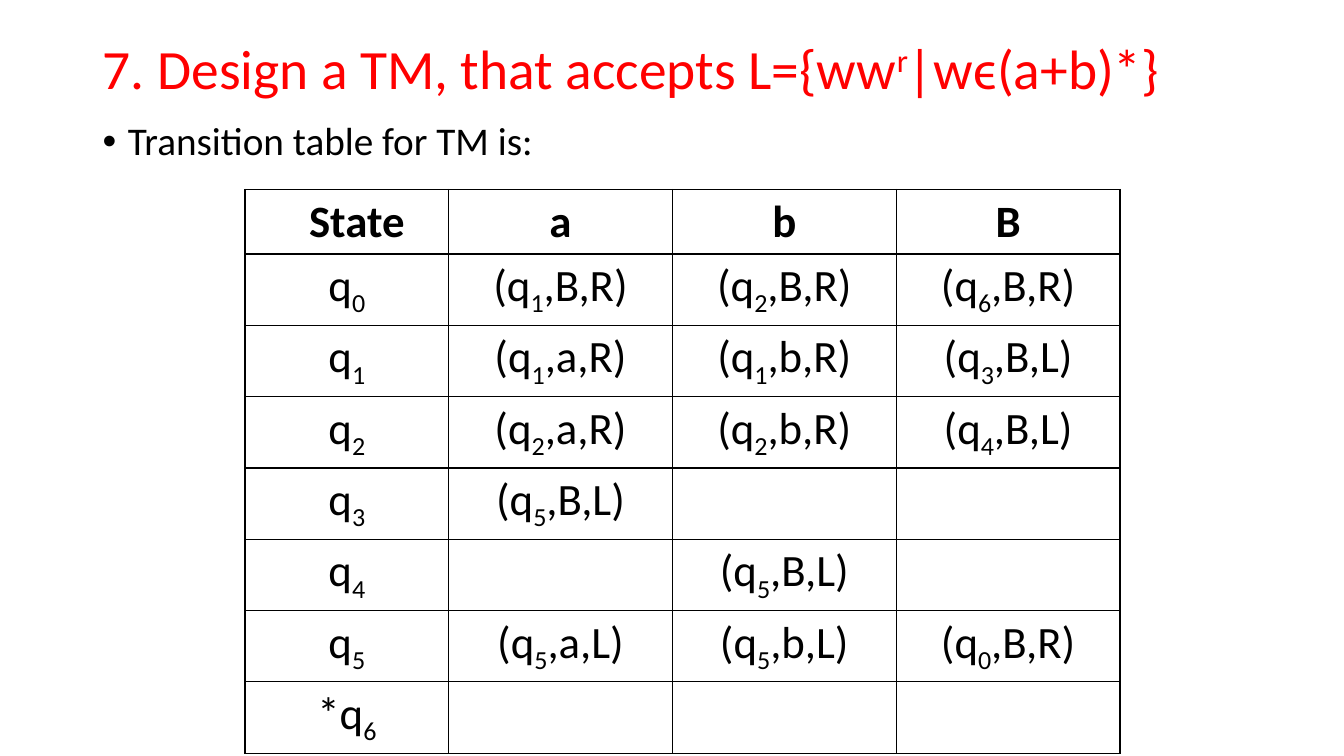
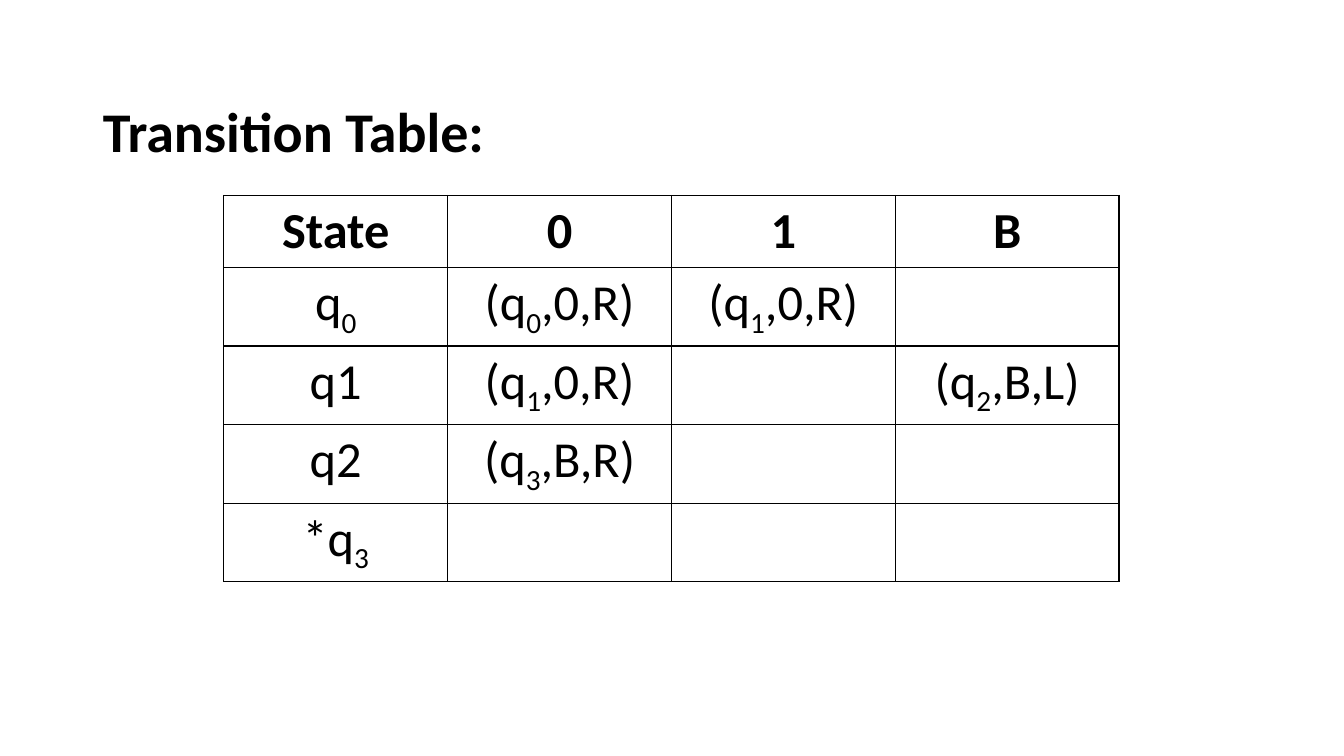
"""Build two slides with Turing machine transition tables."""
from dataclasses import dataclass

from lxml import etree
from pptx import Presentation
from pptx.dml.color import RGBColor
from pptx.enum.text import MSO_ANCHOR, MSO_AUTO_SIZE, PP_ALIGN
from pptx.oxml.ns import qn
from pptx.util import Inches, Pt

LEFT, CENTER = PP_ALIGN.LEFT, PP_ALIGN.CENTER
TOP, MIDDLE = MSO_ANCHOR.TOP, MSO_ANCHOR.MIDDLE
NO_FIT = MSO_AUTO_SIZE.NONE
TITLE_ONLY = 5


@dataclass(frozen=True)
class Theme:
    font: str = "Calibri"
    ink: RGBColor = RGBColor(0x00, 0x00, 0x00)
    accent: RGBColor = RGBColor(0xFF, 0x00, 0x00)
    paper: RGBColor = RGBColor(0xFF, 0xFF, 0xFF)
    title_size: float = 39.6
    heading_size: float = 40
    body_size: float = 28
    border: int = Pt(1)
    line_spacing: float = 0.9
    margin: int = Inches(0.92)
    text_width: int = Inches(11.5)
    column: int = Inches(2.22)


THEME = Theme()

SLIDES = [
    {
        "title": "7. Design a TM, that accepts L={ww^r|wϵ(a+b)*}",
        "title_top": 0.25, "title_height": 0.92, "anchor": MIDDLE,
        "title_size": THEME.title_size, "color": THEME.accent, "bold": False,
        "bullet": "Transition table for TM is:",
        "left": 2.43, "top": 1.88, "state_width": 2.02, "state_margin": 0.3,
        "size": 32, "header_height": 0.64, "row_height": 0.7,
        "rows": [
            ("State", "a", "b", "B"),
            ("q_0", "(q_1,B,R)", "(q_2,B,R)", "(q_6,B,R)"),
            ("q_1", "(q_1,a,R)", "(q_1,b,R)", "(q_3,B,L)"),
            ("q_2", "(q_2,a,R)", "(q_2,b,R)", "(q_4,B,L)"),
            ("q_3", "(q_5,B,L)", "", ""),
            ("q_4", "", "(q_5,B,L)", ""),
            ("q_5", "(q_5,a,L)", "(q_5,b,L)", "(q_0,B,R)"),
            ("*q_6", "", "", ""),
        ],
    },
    {
        "title": "Transition Table:",
        "title_top": 0.98, "title_height": 0.8, "anchor": TOP,
        "title_size": THEME.heading_size, "color": THEME.ink, "bold": True,
        "bullet": None,
        "left": 2.22, "top": 1.94, "state_width": 2.22, "state_margin": 0.1,
        "size": 36, "header_height": 0.71, "row_height": 0.78,
        "rows": [
            ("State", "0", "1", "B"),
            ("q_0", "(q_0,0,R)", "(q_1,0,R)", ""),
            ("q1", "(q_1,0,R)", "", "(q_2,B,L)"),
            ("q2", "(q_3,B,R)", "", ""),
            ("*q_3", "", "", ""),
        ],
    },
]


def write(para, text, size, color=THEME.ink, bold=False, mark="_", baseline=-25000):
    """Fill a paragraph, shifting the character after each mark."""
    para.font.name, para.font.size = THEME.font, Pt(size)
    para.font.color.rgb, para.font.bold = color, bold
    first, *rest = text.split(mark)
    if first:
        para.add_run().text = first
    for part in rest:
        span = para.add_run()
        span.text = part[0]
        span._r.get_or_add_rPr().set("baseline", str(baseline))
        if part[1:]:
            para.add_run().text = part[1:]


def add_borders(cell):
    """Draw a thin line on all four sides of a cell."""
    properties = cell._tc.get_or_add_tcPr()
    for side in ("lnL", "lnR", "lnT", "lnB"):
        line = etree.SubElement(properties, qn(f"a:{side}"), w=str(THEME.border))
        fill = etree.SubElement(line, qn("a:solidFill"))
        etree.SubElement(fill, qn("a:srgbClr"), val=str(THEME.ink))


deck = Presentation()
deck.slide_width, deck.slide_height = Inches(13.33), Inches(7.5)

for content in SLIDES:
    page = deck.slides.add_slide(deck.slide_layouts[TITLE_ONLY])

    title = page.shapes.title
    title.left, title.top = THEME.margin, Inches(content["title_top"])
    title.width, title.height = THEME.text_width, Inches(content["title_height"])
    frame = title.text_frame
    frame.vertical_anchor, frame.auto_size = content["anchor"], NO_FIT
    para = frame.paragraphs[0]
    para.alignment, para.line_spacing = LEFT, THEME.line_spacing
    write(para, content["title"], content["title_size"], content["color"],
          content["bold"], mark="^", baseline=30000)

    if content["bullet"]:
        box = page.shapes.add_textbox(THEME.margin, Inches(1.16), THEME.text_width, Inches(0.6))
        box.text_frame.word_wrap = True
        para = box.text_frame.paragraphs[0]
        para.line_spacing = THEME.line_spacing
        properties = para._p.get_or_add_pPr()
        properties.set("marL", str(Inches(0.25)))
        properties.set("indent", str(-Inches(0.25)))
        etree.SubElement(properties, qn("a:buFont"), typeface="Arial")
        etree.SubElement(properties, qn("a:buChar"), char="•")
        write(para, content["bullet"], THEME.body_size)

    rows = content["rows"]
    widths = [Inches(content["state_width"])] + [THEME.column] * 3
    heights = [Inches(content["header_height"])]
    heights += [Inches(content["row_height"])] * (len(rows) - 1)
    table = page.shapes.add_table(
        len(rows), len(widths), Inches(content["left"]), Inches(content["top"]),
        sum(widths), sum(heights)).table
    table.first_row = table.horz_banding = False
    for column, width in zip(table.columns, widths):
        column.width = width
    for row_index, (row, height) in enumerate(zip(rows, heights)):
        table.rows[row_index].height = height
        for column_index, text in enumerate(row):
            cell = table.cell(row_index, column_index)
            add_borders(cell)
            cell.fill.solid()
            cell.fill.fore_color.rgb = THEME.paper
            para = cell.text_frame.paragraphs[0]
            para.alignment = CENTER
            write(para, text, content["size"], bold=row_index == 0)
    table.cell(0, 0).margin_left = Inches(content["state_margin"])

deck.save("out.pptx")
